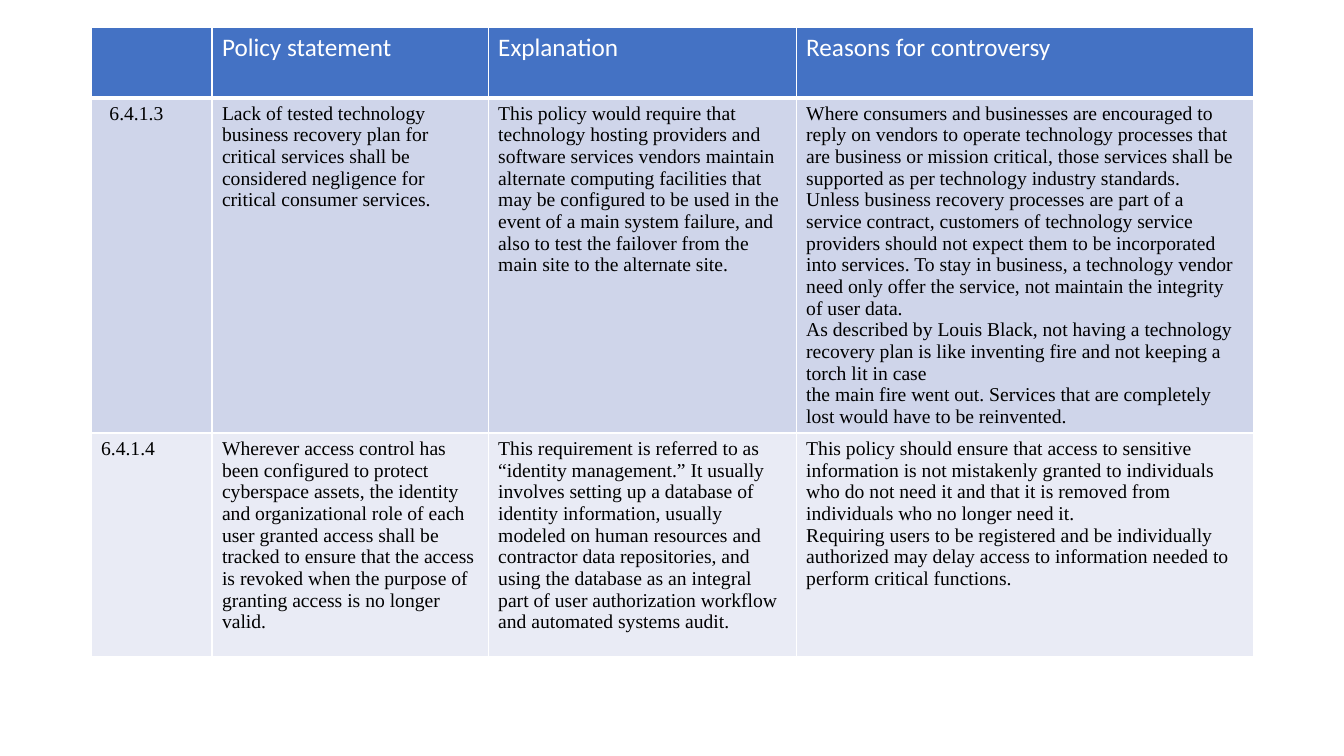
from lxml import etree
from pptx import Presentation
from pptx import util as u
from pptx.dml.color import RGBColor
from pptx.oxml import ns

HEADERS = ["", "Policy statement", "Explanation", "Reasons for controversy"]
POLICIES = [
    [
        ["6.4.1.3"],
        ["Lack of tested technology",
         "business recovery plan for",
         "critical services shall be",
         "considered negligence for",
         "critical consumer services."],
        ["This policy would require that technology hosting providers and software "
         "services vendors maintain alternate computing facilities that may be "
         "configured to be used in the event of a main system failure, and also to "
         "test the failover from the main site to the alternate site."],
        ["Where consumers and businesses are encouraged to reply on vendors to operate "
         "technology processes that are business or mission critical, those services "
         "shall be supported as per technology industry standards.",
         "Unless business recovery processes are part of a service contract, customers "
         "of technology service providers should not expect them to be incorporated "
         "into services. To stay in business, a technology vendor need only offer the "
         "service, not maintain the integrity of user data.",
         "As described by Louis Black, not having a technology recovery plan is like "
         "inventing fire and not keeping a torch lit in case",
         "the main fire went out. Services that are completely lost would have to be "
         "reinvented."],
    ],
    [
        ["6.4.1.4"],
        ["Wherever access control has been configured to protect cyberspace assets, "
         "the identity and organizational role of each",
         "user granted access shall be tracked to ensure that the access is revoked "
         "when the purpose of granting access is no longer valid."],
        ["This requirement is referred to as “identity management.” It usually "
         "involves setting up a database of identity information, usually modeled on "
         "human resources and contractor data repositories, and using the database as "
         "an integral part of user authorization workflow and automated systems audit."],
        ["This policy should ensure that access to sensitive information is not "
         "mistakenly granted to individuals who do not need it and that it is removed "
         "from individuals who no longer need it.",
         "Requiring users to be registered and be individually authorized may delay "
         "access to information needed to perform critical functions."],
    ],
]
COLUMN_WIDTHS = [86.4, 197.3, 220, 327]
ROW_HEIGHTS = [50.5, 239.5, 160]
ROW_FILLS = ["4472C4", "CFD5EA", "E9EBF5"]


def rgb(value):
    return RGBColor.from_string(value)


def set_borders(cell, color, widths):
    tcPr = cell._tc.get_or_add_tcPr()
    for i, (side, width) in enumerate(zip("LRTB", widths)):
        ln = etree.Element(ns.qn(f"a:ln{side}"), w=str(u.Pt(width)))
        fill = etree.SubElement(ln, ns.qn("a:solidFill"))
        etree.SubElement(fill, ns.qn("a:srgbClr"), val=color)
        tcPr.insert(i, ln)


def fill_cell(cell, paragraphs, fill, font, size, color):
    cell.fill.solid()
    cell.fill.fore_color.rgb = rgb(fill)
    tf = cell.text_frame
    for i, content in enumerate(paragraphs):
        p = tf.add_paragraph() if i else tf.paragraphs[0]
        p.font.size = u.Pt(size)
        if not content:
            continue
        r = p.add_run()
        r.text = content
        r.font.name = font
        r.font.size = u.Pt(size)
        r.font.bold = False
        r.font.color.rgb = rgb(color)


def add_policy_table(s, left, top):
    rows = [[[h] for h in HEADERS]] + POLICIES
    frame = s.shapes.add_table(len(rows), len(HEADERS), u.Pt(left), u.Pt(top),
                               u.Pt(sum(COLUMN_WIDTHS)), u.Pt(sum(ROW_HEIGHTS)))
    table = frame.table
    for column, width in zip(table.columns, COLUMN_WIDTHS):
        column.width = u.Pt(width)
    for i, row in enumerate(rows):
        table.rows[i].height = u.Pt(ROW_HEIGHTS[i])
        style = ("Times New Roman", 14, "000000") if i else ("Calibri", 18, "FFFFFF")
        widths = (1, 1, 3 if i == 1 else 1, 1 if i else 3)
        for j, paragraphs in enumerate(row):
            cell = table.cell(i, j)
            fill_cell(cell, paragraphs, ROW_FILLS[i], *style)
            set_borders(cell, "FFFFFF", widths)
    table.cell(1, 0).margin_left = u.Pt(13.2)


def main():
    prs = Presentation()
    prs.slide_width, prs.slide_height = u.Pt(960), u.Pt(540)
    s = prs.slides.add_slide(prs.slide_layouts[6])
    add_policy_table(s, 65, 19.3)
    prs.save("out.pptx")


if __name__ == "__main__":
    main()
